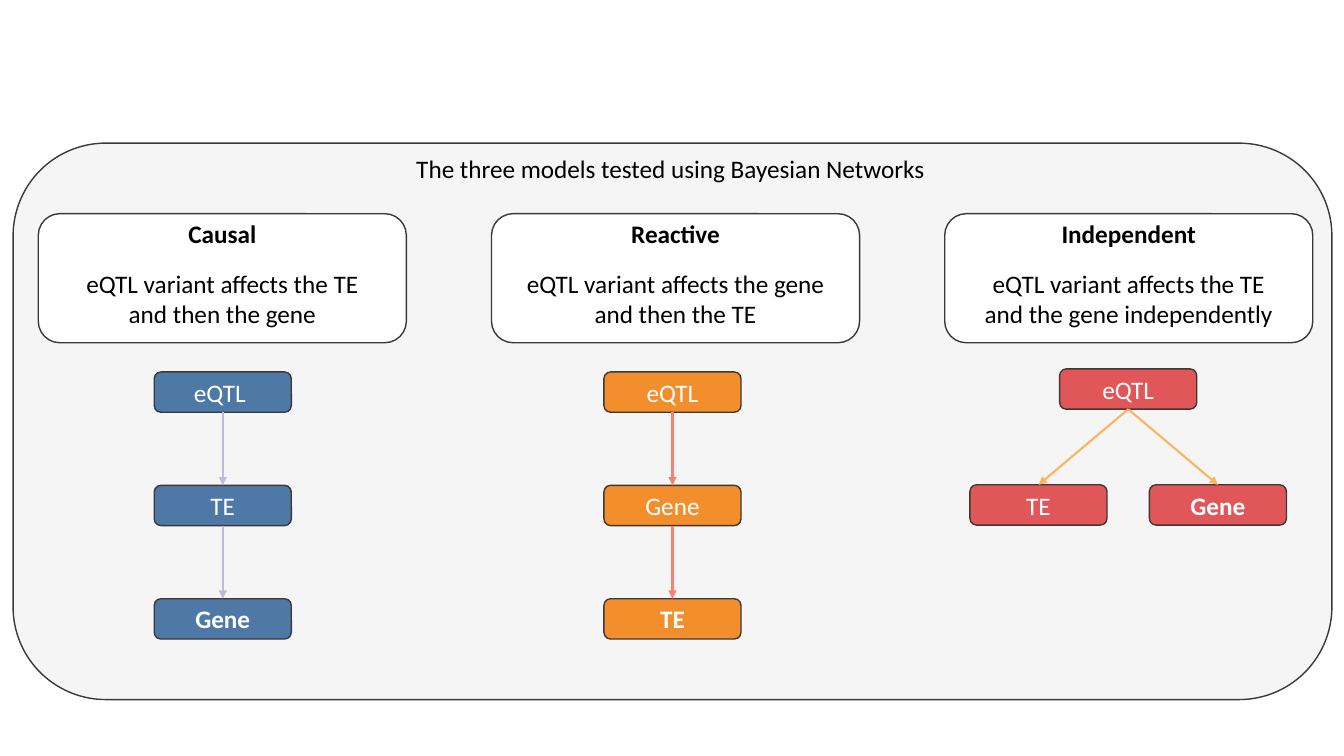
from dataclasses import dataclass

from lxml.etree import SubElement
from pptx import Presentation
from pptx.dml.color import RGBColor
from pptx.enum.shapes import MSO_CONNECTOR as Connector, MSO_SHAPE as Shape
from pptx.enum.text import MSO_ANCHOR as Anchor, PP_ALIGN as Align
from pptx.oxml.ns import qn
from pptx.shapes.autoshape import Shape as AutoShape
from pptx.slide import Slide
from pptx.text.text import TextFrame
from pptx.util import Inches, Pt

BLACK = RGBColor(0x00, 0x00, 0x00)
WHITE = RGBColor(0xFF, 0xFF, 0xFF)
OUTLINE = RGBColor(0x3B, 0x38, 0x38)
PANEL_GREY = RGBColor(0xD0, 0xCE, 0xCE)
BLUE = RGBColor(0x4E, 0x79, 0xA7)
ORANGE = RGBColor(0xF2, 0x8E, 0x2B)
RED = RGBColor(0xE1, 0x57, 0x59)
LAVENDER = RGBColor(0xBE, 0xBA, 0xDA)
SALMON = RGBColor(0xFB, 0x80, 0x72)
APRICOT = RGBColor(0xFD, 0xB4, 0x62)

CARD_LEFT, CARD_TOP, CARD_PITCH = 0.38, 2.12, 4.495
CARD_WIDTH, CARD_HEIGHT = 3.65, 1.28
NAME_WIDTH, SUMMARY_WIDTH = 1.98, 3.2
NODE_WIDTH, NODE_HEIGHT = 1.36, 0.4


@dataclass(frozen=True)
class Node:
    label: str
    left: float
    top: float
    bold: bool = False


@dataclass(frozen=True)
class Model:
    name: str
    summary: str
    fill: RGBColor
    arrow: RGBColor
    nodes: tuple[Node, ...]
    links: tuple[tuple[int, int], ...]


def chain(left: float, labels: tuple[str, ...]) -> tuple[Node, ...]:
    """Stack nodes at equal steps, the last one in bold."""
    last = len(labels) - 1
    return tuple(Node(label, left, 3.69 + 1.125 * i, i == last)
                 for i, label in enumerate(labels))


CHAIN_LINKS = ((0, 1), (1, 2))
MODELS = (
    Model("Causal", "eQTL variant affects the TE and then the gene",
          BLUE, LAVENDER, chain(1.53, ("eQTL ", "TE", "Gene")), CHAIN_LINKS),
    Model("Reactive", "eQTL variant affects the gene and then the TE",
          ORANGE, SALMON, chain(5.99, ("eQTL", "Gene", "TE")), CHAIN_LINKS),
    Model("Independent", "eQTL variant affects the TE and the gene independently",
          RED, APRICOT,
          (Node("eQTL", 10.51, 3.66), Node("TE", 9.62, 4.81),
           Node("Gene", 11.4, 4.81, True)),
          ((0, 1), (0, 2))),
)


def write(frame: TextFrame, text: str, color: RGBColor,
          bold: bool = False, align: Align = Align.CENTER) -> None:
    frame.word_wrap = True
    paragraph = frame.paragraphs[0]
    paragraph.text = text
    paragraph.alignment = align
    font = paragraph.font
    font.name, font.size, font.bold = "Calibri", Pt(18), bold
    font.color.rgb = color


def add_text(slide: Slide, left: float, top: float, width: float, height: float,
             text: str, bold: bool = False, align: Align = Align.CENTER) -> None:
    box = slide.shapes.add_textbox(Inches(left), Inches(top), Inches(width), Inches(height))
    write(box.text_frame, text, BLACK, bold, align)


def add_rounded(slide: Slide, left: float, top: float, width: float,
                height: float, fill: RGBColor) -> AutoShape:
    shape = slide.shapes.add_shape(Shape.ROUNDED_RECTANGLE, Inches(left), Inches(top),
                                   Inches(width), Inches(height))
    shape.shadow.inherit = False
    shape.fill.solid()
    shape.fill.fore_color.rgb = fill
    shape.line.color.rgb = OUTLINE
    shape.line.width = Pt(1)
    return shape


def add_panel(slide: Slide) -> None:
    panel = add_rounded(slide, 0.13, 1.42, 13.08, 5.52, PANEL_GREY)
    color = panel.fill._xPr.find(qn("a:solidFill"))[0]
    SubElement(color, qn("a:alpha"), val="20000")
    add_text(slide, 4.03, 1.47, 5.28, 0.4,
             "The three models tested using Bayesian Networks", align=Align.LEFT)


def add_card(slide: Slide, left: float, model: Model) -> None:
    add_rounded(slide, left, CARD_TOP, CARD_WIDTH, CARD_HEIGHT, WHITE)
    center = left + CARD_WIDTH / 2
    add_text(slide, center - NAME_WIDTH / 2, CARD_TOP, NAME_WIDTH, 0.4,
             model.name, bold=True)
    add_text(slide, center - SUMMARY_WIDTH / 2, 2.61, SUMMARY_WIDTH, 0.71, model.summary)


def add_node(slide: Slide, node: Node, fill: RGBColor) -> AutoShape:
    shape = add_rounded(slide, node.left, node.top, NODE_WIDTH, NODE_HEIGHT, fill)
    shape.text_frame.vertical_anchor = Anchor.MIDDLE
    write(shape.text_frame, node.label, WHITE, node.bold)
    return shape


def add_arrow(slide: Slide, source: AutoShape, target: AutoShape, color: RGBColor) -> None:
    arrow = slide.shapes.add_connector(Connector.STRAIGHT, 0, 0, 0, 0)
    arrow.begin_connect(source, 2)
    arrow.end_connect(target, 0)
    arrow.line.color.rgb = color
    arrow.line.width = Pt(1.5)
    SubElement(arrow.line._get_or_add_ln(), qn("a:tailEnd"), type="triangle")
    SubElement(arrow._element.spPr, qn("a:effectLst"))


def main() -> None:
    presentation = Presentation()
    presentation.slide_width = Inches(13.33)
    presentation.slide_height = Inches(7.5)
    slide = presentation.slides.add_slide(presentation.slide_layouts[6])

    add_panel(slide)
    for column, model in enumerate(MODELS):
        add_card(slide, CARD_LEFT + column * CARD_PITCH, model)
        shapes = [add_node(slide, node, model.fill) for node in model.nodes]
        for source, target in model.links:
            add_arrow(slide, shapes[source], shapes[target], model.arrow)

    presentation.save("out.pptx")


if __name__ == "__main__":
    main()
